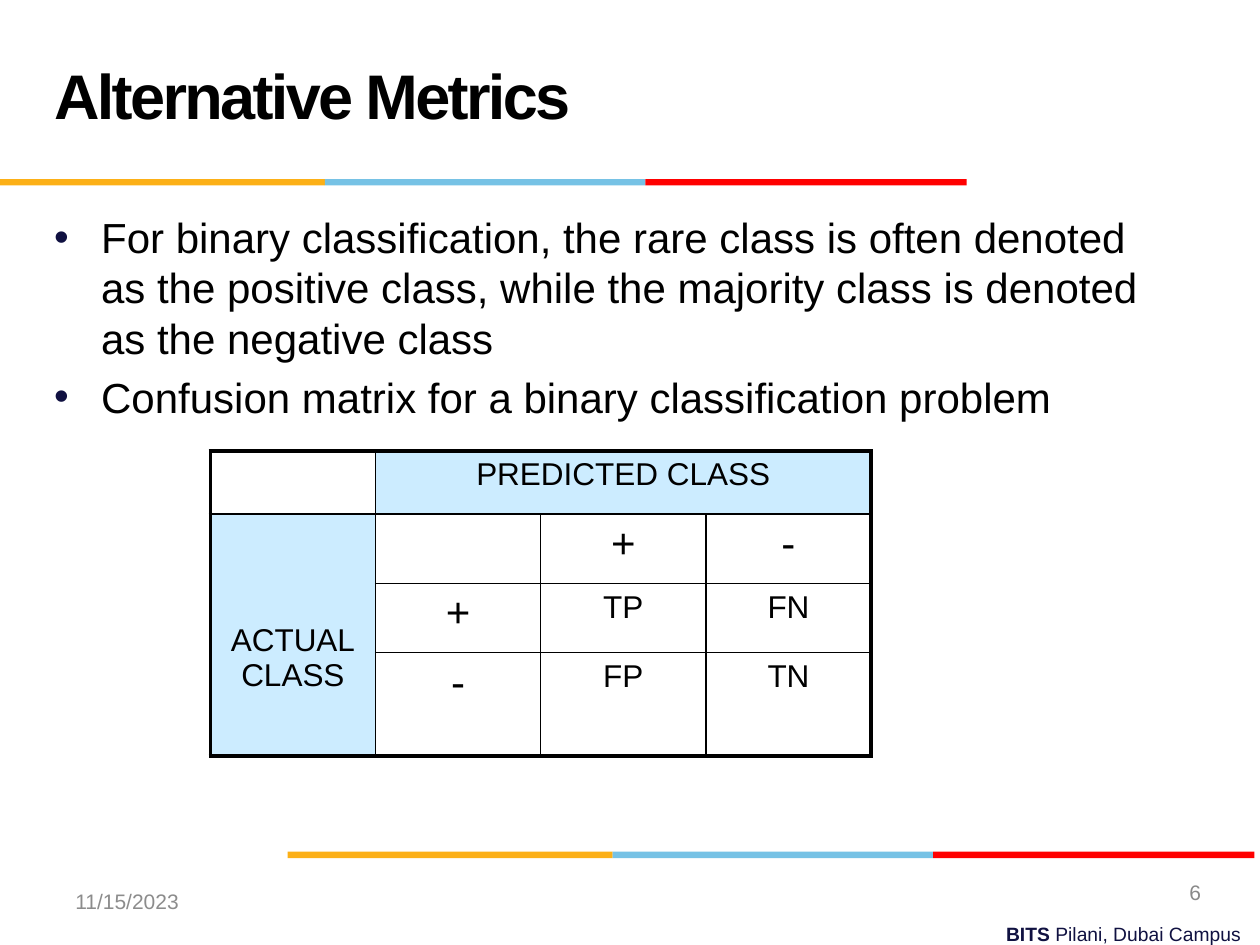
from lxml import etree
from pptx import Presentation
from pptx import util as u
from pptx.dml.color import RGBColor
from pptx.enum import shapes, text
from pptx.oxml.ns import qn

BLACK, NAVY, PALE_BLUE = "000000", "101141", "CCECFF"
LEFT, CENTER, RIGHT = text.PP_ALIGN.LEFT, text.PP_ALIGN.CENTER, text.PP_ALIGN.RIGHT
TOP, MIDDLE = text.MSO_ANCHOR.TOP, text.MSO_ANCHOR.MIDDLE
NO_STYLE = "{2D5ABB26-0587-4C30-8999-92F81FD0307C}"

STRIPES = [("FCB017", 6.55), ("76C2E5", 6.46), ("FF0000", 6.48)]
POINTS = [
    "For binary classification, the rare class is often denoted as the positive "
    "class, while the majority class is denoted as the negative class",
    "Confusion matrix for a binary classification problem",
]
MATRIX = [
    ["", "PREDICTED CLASS", "", ""],
    ["ACTUAL\vCLASS", "", "+", "-"],
    ["", "+", "TP", "FN"],
    ["", "-", "FP", "TN"],
]
ROW_HEIGHTS = [1.27, 1.4, 1.4, 2.08]
COLUMN_WIDTH = 3.33


def color(hex_value):
    return RGBColor.from_string(hex_value)


def add_run(paragraph, words, size, ink=BLACK, bold=False, spacing=None):
    run = paragraph.add_run()
    run.text = words
    run.font.name = "Arial"
    run.font.size = u.Pt(size)
    run.font.bold = bold
    run.font.color.rgb = color(ink)
    if spacing is not None:
        run._r.get_or_add_rPr().set("spc", str(round(spacing * 100)))


def add_text(slide, words, box, size, align=LEFT, anchor=TOP, line_spacing=None, **run_format):
    """Add a text box; words is a string, or a list of (string, bold) pieces."""
    frame = slide.shapes.add_textbox(*map(u.Cm, box)).text_frame
    frame.word_wrap = True
    frame.vertical_anchor = anchor
    paragraph = frame.paragraphs[0]
    paragraph.alignment = align
    paragraph.line_spacing = line_spacing
    if isinstance(words, str):
        words = [(words, run_format.pop("bold", False))]
    for piece, bold in words:
        add_run(paragraph, piece, size, bold=bold, **run_format)


def add_bullets(slide, points, box, size):
    frame = slide.shapes.add_textbox(*map(u.Cm, box)).text_frame
    frame.word_wrap = True
    for index, point in enumerate(points):
        paragraph = frame.add_paragraph() if index else frame.paragraphs[0]
        props = paragraph._p.get_or_add_pPr()
        props.set("marL", str(u.Cm(0.95)))
        props.set("indent", str(-u.Cm(0.95)))
        bullet_color = etree.SubElement(props, qn("a:buClr"))
        etree.SubElement(bullet_color, qn("a:srgbClr"), val=NAVY)
        etree.SubElement(props, qn("a:buFont"), typeface="Arial")
        etree.SubElement(props, qn("a:buChar"), char="•")
        if index:
            paragraph.space_before = u.Pt(0.2 * size)
        add_run(paragraph, point, size)


def add_stripes(slide, left, top):
    for fill, width in STRIPES:
        stripe = slide.shapes.add_shape(
            shapes.MSO_SHAPE.RECTANGLE, *map(u.Cm, (left, top, width, 0.13)))
        stripe.shadow.inherit = False
        stripe.fill.solid()
        stripe.fill.fore_color.rgb = color(fill)
        stripe.line.fill.background()
        left += width


def set_borders(cell, outer_edges):
    """Draw heavy lines on the table's outer edges and thin lines elsewhere."""
    props = cell._tc.get_or_add_tcPr()
    for index, edge in enumerate("LRTB"):
        weight = u.Pt(2.25 if edge in outer_edges else 1)
        line = etree.Element(qn(f"a:ln{edge}"), w=str(weight))
        fill = etree.SubElement(line, qn("a:solidFill"))
        etree.SubElement(fill, qn("a:srgbClr"), val=BLACK)
        props.insert(index, line)


def fill_cell(cell, words):
    cell.margin_left = cell.margin_right = u.Cm(0.25)
    cell.margin_top = cell.margin_bottom = u.Cm(0.13)
    if cell.is_merge_origin:
        cell.fill.solid()
        cell.fill.fore_color.rgb = color(PALE_BLUE)
    else:
        cell.fill.background()
    if words:
        paragraph = cell.text_frame.paragraphs[0]
        paragraph.alignment = CENTER
        paragraph.space_after = u.Pt(4)
        for index, line in enumerate(words.split("\v")):
            if index:
                paragraph.add_line_break()
            add_run(paragraph, line, 24 if words in "+-" else 18)


def add_confusion_matrix(slide, left, top):
    rows, columns = len(MATRIX), len(MATRIX[0])
    box = (left, top, columns * COLUMN_WIDTH, sum(ROW_HEIGHTS))
    table = slide.shapes.add_table(rows, columns, *map(u.Cm, box)).table
    table.first_row = table.horz_banding = False
    table._tbl.tblPr.find(qn("a:tableStyleId")).text = NO_STYLE
    for column in table.columns:
        column.width = u.Cm(COLUMN_WIDTH)
    for row, height in zip(table.rows, ROW_HEIGHTS):
        row.height = u.Cm(height)

    actual = table.cell(1, 0)
    table.cell(0, 1).merge(table.cell(0, columns - 1))
    actual.merge(table.cell(rows - 1, 0))
    for r, line in enumerate(MATRIX):
        for c, words in enumerate(line):
            cell = table.cell(r, c)
            if cell.is_spanned:
                continue
            fill_cell(cell, words)
            edges = {
                "L": c == 0,
                "R": c + cell.span_width == columns,
                "T": r == 0,
                "B": r + cell.span_height == rows,
            }
            set_borders(cell, [edge for edge, outer in edges.items() if outer])
    actual.margin_top = u.Cm(2.2)


def main():
    deck = Presentation()
    deck.slide_width, deck.slide_height = u.Cm(25.4), u.Cm(19.05)
    slide = deck.slides.add_slide(deck.slide_layouts[6])

    add_text(slide, [("BITS ", True), ("Pilani, Dubai Campus", False)],
             (8.97, 18.47, 16.3, 0.74), 11, align=RIGHT, ink=NAVY)
    add_stripes(slide, 5.8, 17.17)
    add_stripes(slide, 0, 3.61)
    add_bullets(slide, POINTS, (0.84, 4.14, 22.86, 12.57), 24)
    add_text(slide, "Alternative Metrics", (0.84, 0.43, 17.58, 3.18), 36,
             anchor=MIDDLE, line_spacing=u.Pt(36), bold=True, spacing=-1.5)
    add_text(slide, "11/15/2023", (1.27, 17.65, 5.92, 1.02), 12, anchor=MIDDLE, ink="8C8C8C")
    add_text(slide, "6", (18.54, 17.48, 5.92, 1.02), 12,
             align=RIGHT, anchor=MIDDLE, ink="898989")
    add_confusion_matrix(slide, 4.24, 9.09)
    deck.save("out.pptx")


if __name__ == "__main__":
    main()
